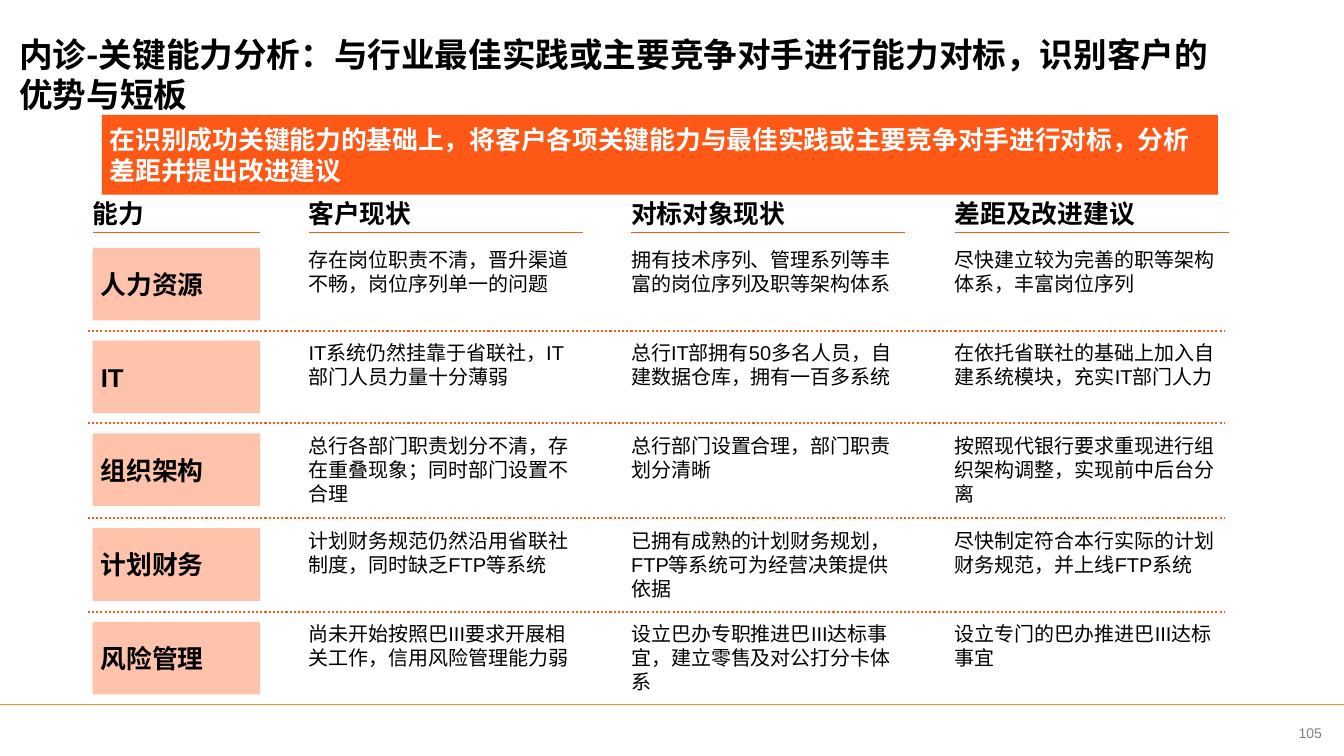
"""Build a slide that benchmarks key capabilities against best practice."""
import dataclasses
import typing

import pptx
import pptx.dml.color
import pptx.enum.dml
import pptx.enum.shapes
import pptx.enum.text
import pptx.oxml
import pptx.oxml.ns
import pptx.util

Inches = pptx.util.Inches
RGBColor = pptx.dml.color.RGBColor
Anchor = pptx.enum.text.MSO_ANCHOR
Align = pptx.enum.text.PP_ALIGN


@dataclasses.dataclass(frozen=True)
class Theme:
    accent: RGBColor = RGBColor(0xFE, 0x58, 0x17)
    tint: RGBColor = RGBColor(0xFF, 0xC3, 0xAB)
    footer_rule: RGBColor = RGBColor(0xFE, 0x86, 0x37)
    text: RGBColor = RGBColor(0, 0, 0)
    white: RGBColor = RGBColor(0xFF, 0xFF, 0xFF)
    grey: RGBColor = RGBColor(0x80, 0x80, 0x80)
    latin: str = "Arial"
    chinese: str = "Noto Sans CJK SC"
    title_size: float = 24
    heading_size: float = 18.4
    body_size: float = 14.3
    number_size: float = 10
    leading: float = 1.2


@dataclasses.dataclass(frozen=True)
class Column:
    heading: str
    left: float
    width: float


@dataclasses.dataclass(frozen=True)
class Capability:
    top: float
    name: str
    findings: tuple[str, str, str]


THEME = Theme()
TITLE = ("内诊-", "关键能力分析：与行业最佳实践或主要竞争对手进行能力对标，识别客户的优势与短板")
BANNER = "在识别成功关键能力的基础上，将客户各项关键能力与最佳实践或主要竞争对手进行对标，分析差距并提出改进建议"
COLUMNS = (
    Column("能力", 0.92, 1.66),
    Column("客户现状", 3.06, 2.72),
    Column("对标对象现状", 6.26, 2.72),
    Column("差距及改进建议", 9.47, 2.72),
)
CAPABILITIES = (
    Capability(2.46, "人力资源", (
        "存在岗位职责不清，晋升渠道不畅，岗位序列单一的问题",
        "拥有技术序列、管理系列等丰富的岗位序列及职等架构体系",
        "尽快建立较为完善的职等架构体系，丰富岗位序列")),
    Capability(3.38, "IT", (
        "IT系统仍然挂靠于省联社，IT部门人员力量十分薄弱",
        "总行IT部拥有50多名人员，自建数据仓库，拥有一百多系统",
        "在依托省联社的基础上加入自建系统模块，充实IT部门人力")),
    Capability(4.3, "组织架构", (
        "总行各部门职责划分不清，存在重叠现象；同时部门设置不合理",
        "总行部门设置合理，部门职责划分清晰",
        "按照现代银行要求重现进行组织架构调整，实现前中后台分离")),
    Capability(5.24, "计划财务", (
        "计划财务规范仍然沿用省联社制度，同时缺乏FTP等系统",
        "已拥有成熟的计划财务规划，FTP等系统可为经营决策提供依据",
        "尽快制定符合本行实际的计划财务规范，并上线FTP系统")),
    Capability(6.17, "风险管理", (
        "尚未开始按照巴III要求开展相关工作，信用风险管理能力弱",
        "设立巴办专职推进巴III达标事宜，建立零售及对公打分卡体系",
        "设立专门的巴办推进巴III达标事宜")),
)
ROW_HEIGHT = 0.72
HEADING_TOP, HEADING_HEIGHT, HEADING_RULE = 1.95, 0.32, 2.31
DIVIDER_GAP = 0.1


def apply_format(target: typing.Any, values: dict[str, typing.Any]) -> None:
    """Set every named attribute on the target."""
    for name, value in values.items():
        setattr(target, name, value)


def write(shape: typing.Any, runs: tuple[str, ...], size: float, *,
          color: RGBColor = THEME.text, bold: bool = False, inset: float = 0,
          anchor: Anchor = Anchor.TOP, align: Align = Align.LEFT,
          wrap: bool = True, fonts: tuple[str, ...] = (THEME.latin,)) -> None:
    """Fill a shape with one formatted paragraph."""
    margin = Inches(inset)
    apply_format(shape.text_frame, {
        "auto_size": pptx.enum.text.MSO_AUTO_SIZE.NONE,
        "word_wrap": wrap, "vertical_anchor": anchor,
        "margin_left": margin, "margin_right": margin,
        "margin_top": margin, "margin_bottom": margin})
    paragraph = shape.text_frame.paragraphs[0]
    apply_format(paragraph, {
        "alignment": align, "line_spacing": pptx.util.Pt(size * THEME.leading)})
    for text, latin in zip(runs, fonts):
        run = paragraph.add_run()
        run.text = text
        apply_format(run.font, {"name": latin, "size": pptx.util.Pt(size), "bold": bold})
        run.font.color.rgb = color
        properties = run.font._element
        east_asian = pptx.oxml.parse_xml(
            f'<a:ea {pptx.oxml.ns.nsdecls("a")} typeface="{THEME.chinese}"/>')
        properties.append(east_asian)


def add_text(slide: typing.Any, left: float, top: float, width: float,
             height: float, text: str, size: float, **options: typing.Any) -> None:
    """Add a text box."""
    box = slide.shapes.add_textbox(*map(Inches, (left, top, width, height)))
    write(box, (text,), size, **options)


def add_panel(slide: typing.Any, left: float, top: float, width: float,
              height: float, text: str, fill: RGBColor, color: RGBColor) -> None:
    """Add a filled rectangle with bold text."""
    panel = slide.shapes.add_shape(
        pptx.enum.shapes.MSO_SHAPE.RECTANGLE, *map(Inches, (left, top, width, height)))
    panel.shadow.inherit = False
    panel.fill.solid()
    panel.fill.fore_color.rgb = fill
    panel.line.fill.background()
    write(panel, (text,), THEME.heading_size, color=color, bold=True,
          inset=0.08, anchor=Anchor.MIDDLE)


def add_rule(slide: typing.Any, left: float, right: float, y: float,
             color: RGBColor, weight: float, dotted: bool = False) -> None:
    """Add a horizontal line."""
    rule = slide.shapes.add_connector(
        pptx.enum.shapes.MSO_CONNECTOR.STRAIGHT, *map(Inches, (left, y, right, y)))
    rule.line.color.rgb = color
    rule.line.width = pptx.util.Pt(weight)
    if dotted:
        rule.line.dash_style = pptx.enum.dml.MSO_LINE.ROUND_DOT
    rule._element.spPr.append(
        pptx.oxml.parse_xml(f'<a:effectLst {pptx.oxml.ns.nsdecls("a")}/>'))


def add_comparison(slide: typing.Any) -> None:
    """Draw the headings, capability rows and dividers."""
    for column in COLUMNS:
        add_text(slide, column.left, HEADING_TOP, column.width, HEADING_HEIGHT,
                 column.heading, THEME.heading_size, bold=True,
                 anchor=Anchor.BOTTOM, wrap=False)
        add_rule(slide, column.left, column.left + column.width, HEADING_RULE,
                 THEME.accent, 0.75)
    name_column, *finding_columns = COLUMNS
    for capability in CAPABILITIES:
        add_panel(slide, name_column.left, capability.top, name_column.width,
                  ROW_HEIGHT, capability.name, THEME.tint, THEME.text)
        for column, finding in zip(finding_columns, capability.findings):
            add_text(slide, column.left, capability.top, column.width,
                     ROW_HEIGHT, finding, THEME.body_size)
    for capability in CAPABILITIES[1:]:
        add_rule(slide, 0.87, 12.14, capability.top - DIVIDER_GAP,
                 THEME.accent, 1.5, dotted=True)


def main() -> None:
    """Build and save the presentation."""
    presentation = pptx.Presentation()
    apply_format(presentation, {
        "slide_width": Inches(13.33), "slide_height": Inches(7.5)})
    slide = presentation.slides.add_slide(presentation.slide_layouts[5])
    title = slide.shapes.title
    apply_format(title, {"left": Inches(0.19), "top": Inches(0.34),
                         "width": Inches(11.96), "height": Inches(0.79)})
    write(title, TITLE, THEME.title_size, bold=True, anchor=Anchor.MIDDLE,
          fonts=(THEME.chinese, THEME.latin))
    add_rule(slide, 0, 13.33, 6.99, THEME.footer_rule, 1)
    add_text(slide, 12.66, 7.04, 0.67, 0.46, "105", THEME.number_size,
             color=THEME.grey, anchor=Anchor.MIDDLE, align=Align.CENTER)
    add_comparison(slide)
    add_panel(slide, 1.01, 1.14, 11.07, 0.79, BANNER, THEME.accent, THEME.white)
    presentation.save("out.pptx")


if __name__ == "__main__":
    main()
